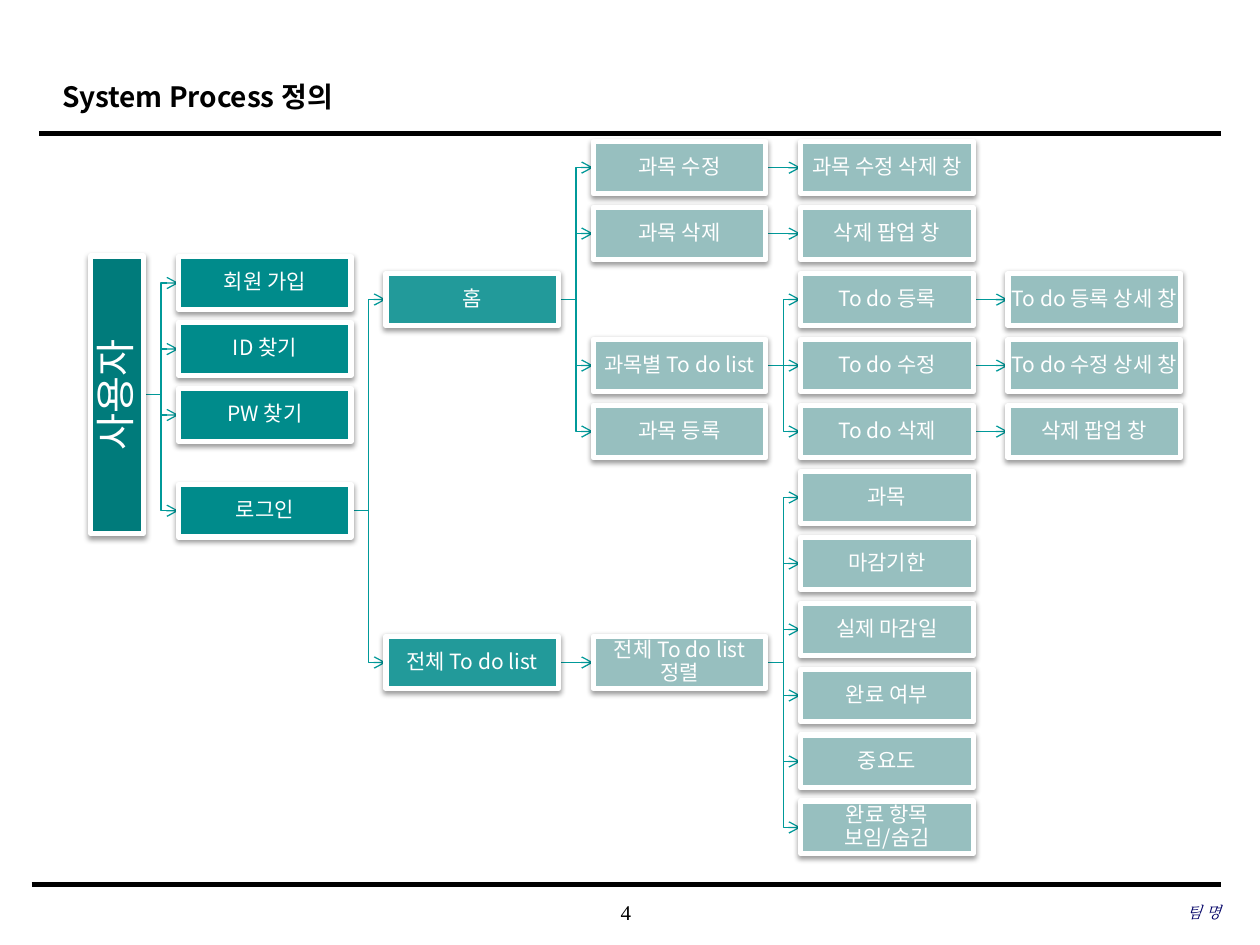
from lxml.etree import SubElement
from pptx import Presentation
from pptx.dml.color import RGBColor
from pptx.enum.shapes import MSO_CONNECTOR as CONN, MSO_SHAPE as SHAPE
from pptx.enum.text import MSO_ANCHOR as ANCHOR, MSO_AUTO_SIZE as FIT, PP_ALIGN as ALIGN
from pptx.oxml.ns import qn
from pptx.util import Cm, Pt

COLORS = {
    "black": "000000", "white": "FFFFFF", "team": "000066", "link": "009999",
    "root": "007B7B", "level1": "008B8B", "level2": "229A9A", "leaf": "97BFBF",
}
SANS, SERIF = "Noto Sans CJK KR", "Times New Roman"
BOX_W, BOX_H = 3.48, 1.06
COL_X, COL_STEP = 3.6, 4.18
ROW_Y, ROW_STEP = 3.38, 1.33
ROOT_X, ROOT_ROW, ROOT_LENGTH = 2.36, 3.44, 5.59
LEVELS = ["level1", "level2", "leaf", "leaf", "leaf"]

TREE = [
    ("회원 가입", 1.75, []),
    ("ID 찾기", 2.75, []),
    ("PW 찾기", 3.75, []),
    ("로그인", 5.2, [
        ("홈", 2, [
            ("과목 수정", 0, [("과목 수정 삭제 창", 0, [])]),
            ("과목 삭제", 1, [("삭제 팝업 창", 1, [])]),
            ("과목별 To do list", 3, [
                ("To do 등록", 2, [("To do 등록 상세 창", 2, [])]),
                ("To do 수정", 3, [("To do 수정 상세 창", 3, [])]),
                ("To do 삭제", 4, [("삭제 팝업 창", 4, [])]),
            ]),
            ("과목 등록", 4, []),
        ]),
        ("전체 To do list", 7.5, [
            ("전체 To do list 정렬", 7.5, [
                ("과목", 5, []),
                ("마감기한", 6, []),
                ("실제 마감일", 7, []),
                ("완료 여부", 8, []),
                ("중요도", 9, []),
                ("완료 항목 보임/숨김", 10, []),
            ]),
        ]),
    ]),
]


def rgb(name):
    return RGBColor.from_string(COLORS[name])


def col_x(level):
    return COL_X + COL_STEP * level


def row_y(row):
    return ROW_Y + ROW_STEP * row


def write(tf, text, size, color, align, font=SANS, bold=False, italic=False, spacing=1.0, inset=0):
    tf.word_wrap = True
    tf.auto_size = FIT.NONE
    tf.vertical_anchor = ANCHOR.MIDDLE
    tf.margin_left = tf.margin_right = tf.margin_top = tf.margin_bottom = Cm(inset)
    p = tf.paragraphs[0]
    p.alignment = align
    p.line_spacing = spacing
    r = p.add_run()
    r.text = text
    r.font.size = Pt(size)
    r.font.name = font
    r.font.bold = bold
    r.font.italic = italic
    r.font.color.rgb = rgb(color)
    SubElement(r.font._element, qn("a:ea"), typeface=font)


def add_title(s, text):
    sp = s.shapes.title
    sp.left, sp.top, sp.width, sp.height = Cm(1), Cm(1.24), Cm(19.18), Cm(1.27)
    write(sp.text_frame, text, 16, "black", ALIGN.LEFT, bold=True, spacing=1.2, inset=0.25)


def add_footer(s, text, left, width, size, color, align, italic=False):
    sp = s.shapes.add_textbox(Cm(left), Cm(17.97), Cm(width), Cm(0.84))
    write(sp.text_frame, text, size, color, align, font=SERIF, italic=italic)


def add_line(s, x1, y1, x2, y2, color, width, kind=CONN.STRAIGHT):
    c = s.shapes.add_connector(kind, Cm(x1), Cm(y1), Cm(x2), Cm(y2))
    c.line.color.rgb = rgb(color)
    c.line.width = Pt(width)
    SubElement(c._element.spPr, qn("a:effectLst"))
    return c


def add_arrow(s, x1, y1, x2, y2):
    kind = CONN.STRAIGHT if y1 == y2 else CONN.ELBOW
    c = add_line(s, x1, y1, x2, y2, "link", 0.75, kind)
    SubElement(c.line._get_or_add_ln(), qn("a:tailEnd"), type="arrow")


def add_shadow(sp):
    effects = SubElement(sp._element.spPr, qn("a:effectLst"))
    shadow = SubElement(effects, qn("a:outerShdw"), blurRad=str(Pt(3.1)), dist=str(Pt(1.6)),
                        dir="5400000", rotWithShape="0")
    color = SubElement(shadow, qn("a:srgbClr"), val=COLORS["black"])
    SubElement(color, qn("a:alpha"), val="38000")


def add_box(s, text, x, y, width, fill, size=12, rotation=0):
    sp = s.shapes.add_shape(SHAPE.RECTANGLE, Cm(x), Cm(y - BOX_H / 2), Cm(width), Cm(BOX_H))
    sp.rotation = rotation
    sp.fill.solid()
    sp.fill.fore_color.rgb = rgb(fill)
    sp.line.color.rgb = rgb("white")
    sp.line.width = Pt(3)
    add_shadow(sp)
    write(sp.text_frame, text, size, "white", ALIGN.CENTER, spacing=0.9, inset=0.03)


def add_links(s, nodes, x, row, level=0):
    for _, child_row, children in nodes:
        add_arrow(s, x, row_y(row), col_x(level), row_y(child_row))
        add_links(s, children, col_x(level) + BOX_W, child_row, level + 1)


def add_nodes(s, nodes, level=0):
    for text, row, children in nodes:
        add_box(s, text, col_x(level), row_y(row), BOX_W, LEVELS[level])
        add_nodes(s, children, level + 1)


def main():
    prs = Presentation()
    prs.slide_width, prs.slide_height = Cm(25.4), Cm(19.05)
    s = prs.slides.add_slide(prs.slide_layouts[5])
    add_title(s, "System Process 정의")
    add_line(s, 0.79, 2.69, 24.61, 2.69, "black", 2.5)
    add_line(s, 0.64, 17.83, 24.61, 17.83, "black", 3)
    add_footer(s, "4", 9.98, 5.28, 12, "black", ALIGN.CENTER)
    add_footer(s, "팀 명", 16.84, 7.77, 9, "team", ALIGN.RIGHT, italic=True)
    add_links(s, TREE, ROOT_X + BOX_H / 2, ROOT_ROW)
    add_box(s, "사용자", ROOT_X - ROOT_LENGTH / 2, row_y(ROOT_ROW), ROOT_LENGTH, "root",
            size=23, rotation=270)
    add_nodes(s, TREE)
    prs.save("out.pptx")


if __name__ == "__main__":
    main()
